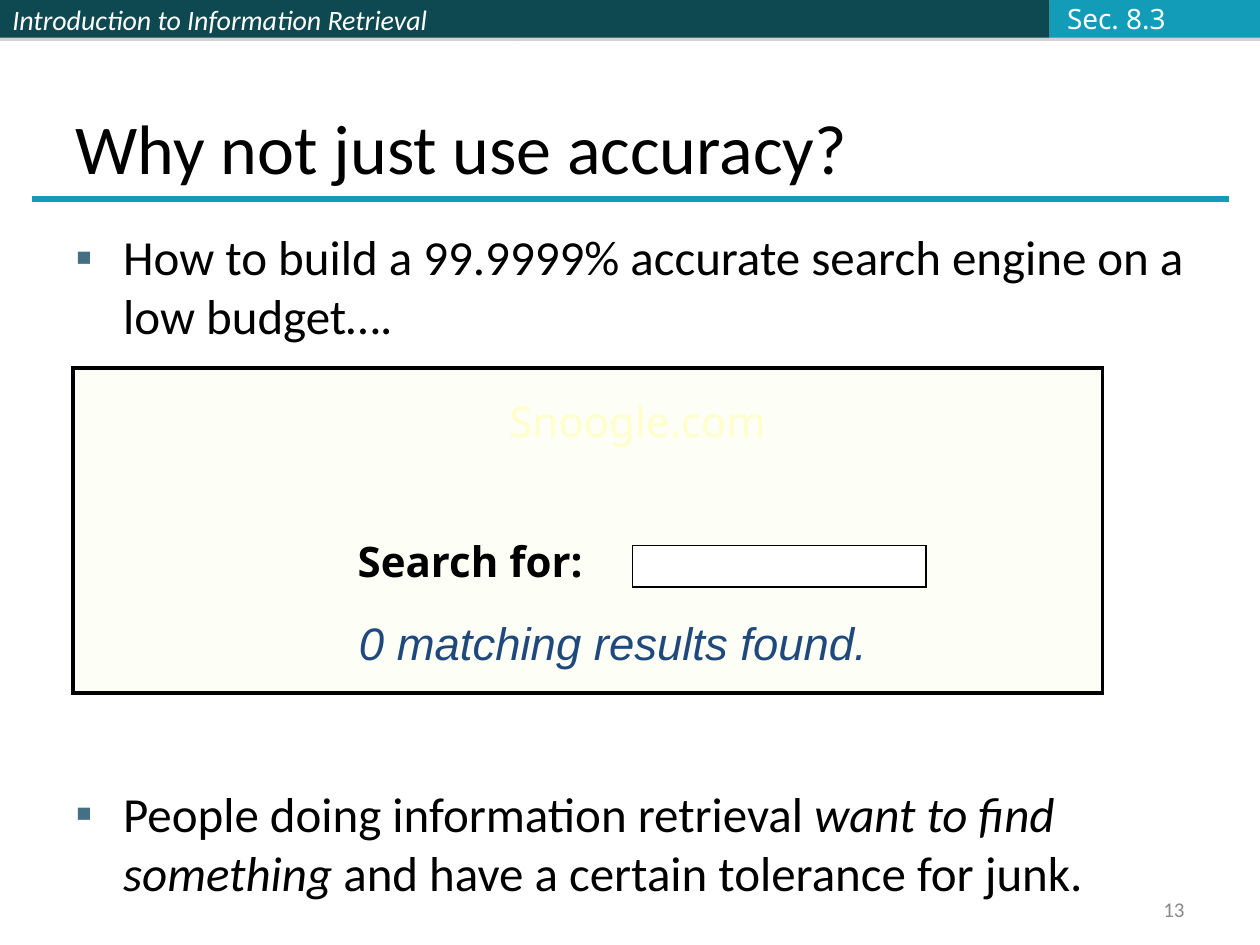
import pptx
import pptx.util
import pptx.dml.color
import pptx.enum.shapes
import pptx.enum.text
import pptx.oxml
import pptx.oxml.ns
from lxml import etree

Inches = pptx.util.Inches
Pt = pptx.util.Pt
RGBColor = pptx.dml.color.RGBColor
Anchor = pptx.enum.text.MSO_ANCHOR
Align = pptx.enum.text.PP_ALIGN
qn = pptx.oxml.ns.qn

DARK_TEAL = RGBColor(0x0E, 0x48, 0x51)
TEAL = RGBColor(0x13, 0x9C, 0xB7)
BLACK = RGBColor(0, 0, 0)
WHITE = RGBColor(0xFF, 0xFF, 0xFF)
NEAR_WHITE = RGBColor(0xFB, 0xFC, 0xFF)
GRAY = RGBColor(0x89, 0x89, 0x89)
CREAM = RGBColor(0xFC, 0xFE, 0xEC)
PALE_YELLOW = RGBColor(0xFF, 0xFF, 0xCC)
NAVY = RGBColor(0x1F, 0x49, 0x7D)
BULLET = RGBColor(0x43, 0x70, 0x85)
SHADOW = RGBColor(0x80, 0x80, 0x80)


def add_text(paragraph, text, size=16, font="Calibri", color=BLACK, bold=False, italic=False):
    """Append a formatted run to a paragraph."""
    run = paragraph.add_run()
    run.text = text
    run.font.size = Pt(size)
    run.font.name = font
    run.font.color.rgb = color
    run.font.bold = bold
    run.font.italic = italic


class SlideBuilder:
    """Draw styled elements on the current slide."""

    def __init__(self, slide):
        self.slide = slide

    def title(self, text, left, top, width, height):
        """Place and format the title placeholder."""
        shape = self.slide.shapes.title
        shape.left, shape.top = Inches(left), Inches(top)
        shape.width, shape.height = Inches(width), Inches(height)
        frame = shape.text_frame
        frame.vertical_anchor = Anchor.BOTTOM
        frame.auto_size = pptx.enum.text.MSO_AUTO_SIZE.NONE
        frame.paragraphs[0].alignment = Align.LEFT
        add_text(frame.paragraphs[0], text, size=40)

    def rectangle(self, left, top, width, height, fill, line_width=None, opacity=None):
        """Add a filled rectangle with an optional black outline."""
        shape = self.slide.shapes.add_shape(
            pptx.enum.shapes.MSO_SHAPE.RECTANGLE,
            Inches(left), Inches(top), Inches(width), Inches(height))
        shape.shadow.inherit = False
        shape.fill.solid()
        shape.fill.fore_color.rgb = fill
        if opacity is not None:
            color = shape.fill._xPr.find(".//" + qn("a:srgbClr"))
            etree.SubElement(color, qn("a:alpha"), val=str(opacity * 1000))
        if line_width is None:
            shape.line.fill.background()
        else:
            shape.line.color.rgb = BLACK
            shape.line.width = Pt(line_width)
            outline = shape._element.spPr.find(qn("a:ln"))
            etree.SubElement(outline, qn("a:miter"), lim="800000")
        return shape

    def header_band(self, left, width, fill):
        """Add a header rectangle with a soft shadow below it."""
        shape = self.rectangle(left, 0, width, 0.3, fill)
        effects = shape._element.spPr.find(qn("a:effectLst"))
        shadow = etree.SubElement(effects, qn("a:outerShdw"), blurRad="0",
                                  dist=str(Pt(1.8)), dir="5400000", rotWithShape="0")
        color = etree.SubElement(shadow, qn("a:srgbClr"), val=str(SHADOW))
        etree.SubElement(color, qn("a:alpha"), val="35000")
        return shape

    def rule(self, start, end, color, width):
        """Add a straight line without a shadow."""
        line = self.slide.shapes.add_connector(
            pptx.enum.shapes.MSO_CONNECTOR.STRAIGHT, *map(Inches, start + end))
        line.line.color.rgb = color
        line.line.width = Pt(width)
        etree.SubElement(line._element.spPr, qn("a:effectLst"))

    def label(self, text, left, top, width, height, anchor=Anchor.TOP,
              align=Align.LEFT, **text_format):
        """Add a single-line text box."""
        frame = self.slide.shapes.add_textbox(
            Inches(left), Inches(top), Inches(width), Inches(height)).text_frame
        frame.word_wrap = False
        frame.vertical_anchor = anchor
        frame.paragraphs[0].alignment = align
        add_text(frame.paragraphs[0], text, **text_format)

    def bullets(self, items, left, top, width, height, gap):
        """Add a bulleted list whose items are lists of (text, italic) parts."""
        frame = self.slide.shapes.add_textbox(
            Inches(left), Inches(top), Inches(width), Inches(height)).text_frame
        frame.word_wrap = True
        for index, parts in enumerate(items):
            paragraph = frame.add_paragraph() if index else frame.paragraphs[0]
            if index:
                paragraph.space_before = Pt(gap)
            properties = paragraph._p.get_or_add_pPr()
            properties.set("marL", str(Inches(0.38)))
            properties.set("indent", str(Inches(-0.38)))
            color = etree.SubElement(properties, qn("a:buClr"))
            etree.SubElement(color, qn("a:srgbClr"), val=str(BULLET))
            etree.SubElement(properties, qn("a:buFont"), typeface="Arial")
            etree.SubElement(properties, qn("a:buChar"), char="▪")
            for text, italic in parts:
                add_text(paragraph, text, size=28, italic=italic)


def main():
    """Build and save the slide."""
    presentation = pptx.Presentation()
    presentation.slide_width, presentation.slide_height = Inches(10), Inches(7.5)
    builder = SlideBuilder(presentation.slides.add_slide(presentation.slide_layouts[5]))

    course = builder.header_band(0, 4.08, DARK_TEAL)
    course.text_frame.vertical_anchor = Anchor.MIDDLE
    course.text_frame.paragraphs[0].alignment = Align.LEFT
    add_text(course.text_frame.paragraphs[0], "Introduction to Information Retrieval",
             color=WHITE, italic=True)
    builder.header_band(4.08, 4.25, DARK_TEAL)
    builder.header_band(8.33, 1.67, TEAL)
    builder.label("Sec. 8.3", 8.37, 0, 0.98, 0.29, anchor=Anchor.MIDDLE,
                  font="Noto Sans", color=NEAR_WHITE)

    builder.title("Why not just use accuracy?", 0.5, 0.3, 9, 1.25)
    builder.rule((0.25, 1.58), (9.75, 1.58), TEAL, 3)

    builder.rectangle(0.58, 2.92, 8.17, 2.58, CREAM, line_width=2, opacity=50)
    builder.bullets([
        [("How to build a 99.9999% accurate search engine on a low budget….", False)],
        [("People doing information retrieval ", False),
         ("want to find something", True),
         (" and have a certain tolerance for junk.", False)],
    ], 0.5, 1.75, 9, 5.42, gap=251)

    builder.label("Snoogle.com", 3.81, 3.09, 2.5, 0.5, align=Align.CENTER,
                  size=24, font="Noto Sans", color=PALE_YELLOW)
    builder.label("Search for:", 2.74, 4.2, 2.08, 0.5, size=24, font="Noto Sans", bold=True)
    builder.rectangle(5.02, 4.33, 2.33, 0.33, WHITE, line_width=0.75)
    builder.label("0 matching results found.", 2.75, 4.83, 4.24, 0.54,
                  size=26, font="Arial", color=NAVY, italic=True)
    builder.label("13", 7.17, 7.08, 2.33, 0.27, anchor=Anchor.MIDDLE,
                  align=Align.RIGHT, size=12, color=GRAY)

    presentation.save("out.pptx")


if __name__ == "__main__":
    main()
